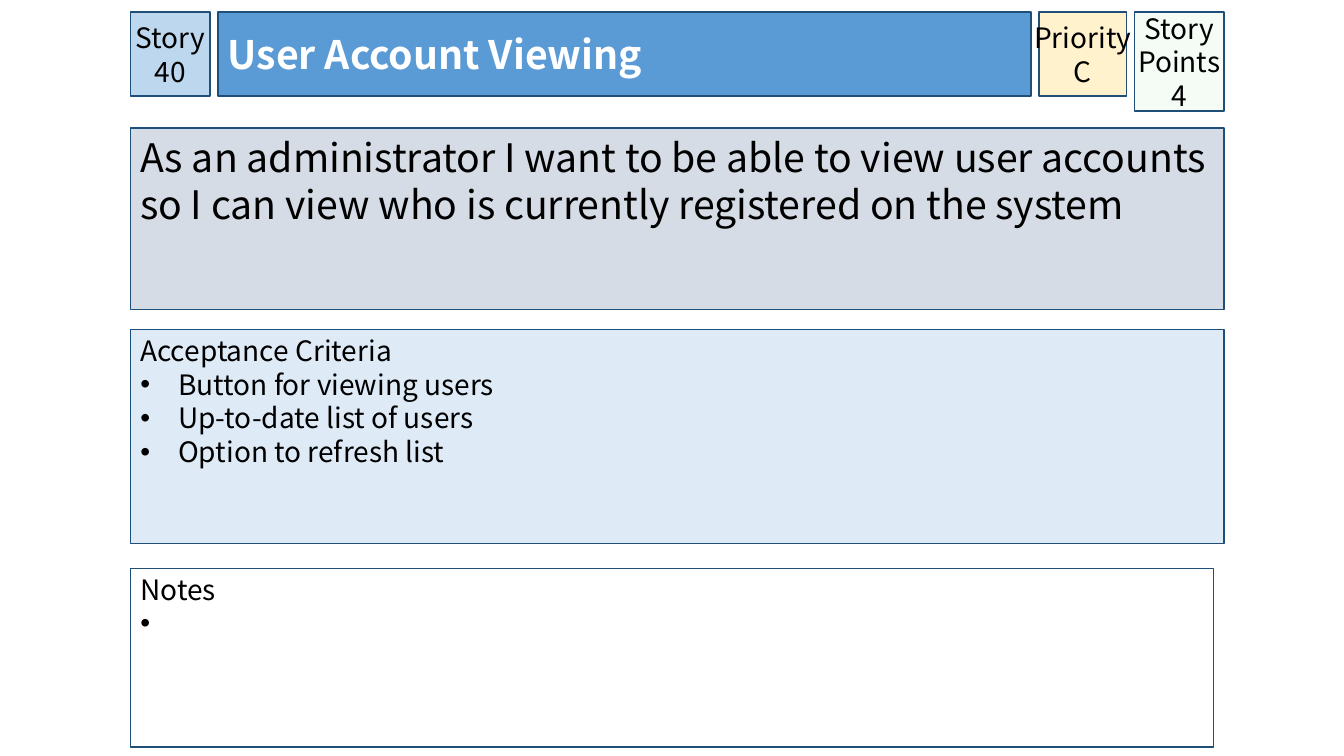
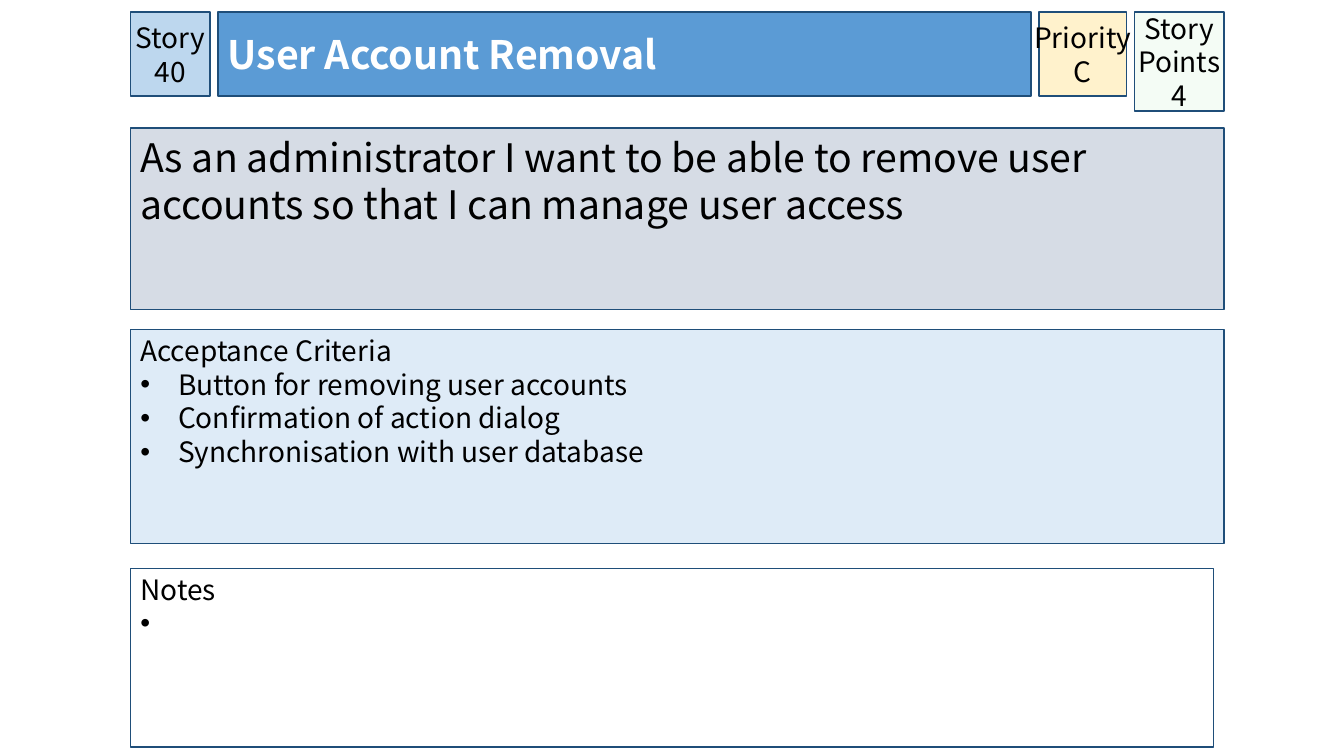
from dataclasses import dataclass

from lxml import etree
from pptx import Presentation
from pptx import util as u
from pptx.dml.color import RGBColor
from pptx.enum import shapes, text
from pptx.oxml import ns


@dataclass(frozen=True)
class Theme:
    font: str = "Noto Sans CJK KR"
    bullet_font: str = "Arial"
    large: float = 28
    normal: float = 20
    ink: str = "000000"
    title_ink: str = "FFFFFF"
    outline: str = "1F4E79"
    story: str = "BDD7EE"
    title: str = "5B9BD5"
    priority: str = "FFF2CC"
    points: str = "CCF0CD"
    statement: str = "D6DCE5"
    criteria: str = "DEEBF7"
    notes: str = "FFFFFF"


LEFT, TOP, GAP = 93, 8.6, 5.6
HEADER_WIDTHS = (57, 581, 62.5, 64)
HEADER_HEIGHT, POINTS_HEIGHT = 60, 70.6
CARD_WIDTH = sum(HEADER_WIDTHS) + GAP * (len(HEADER_WIDTHS) - 1)
BADGE_INSETS = (0, 3.6, 0, 3.6)
TEXT_INSETS = (7.2, 3.6, 7.2, 3.6)
LIST_INSETS = (7.2, 2.9, 7.2, 3.6)


class StoryDeck:
    def __init__(self, theme):
        self.theme = theme
        self.deck = Presentation()
        self.deck.slide_width, self.deck.slide_height = u.Pt(960), u.Pt(540)
        self.slide = None

    def new_slide(self):
        self.slide = self.deck.slides.add_slide(self.deck.slide_layouts[3])

    def style(self, panel, box, fill, insets, anchor, alpha=None):
        panel.left, panel.top, panel.width, panel.height = map(u.Pt, box)
        panel.fill.solid()
        panel.fill.fore_color.rgb = RGBColor.from_string(fill)
        if alpha is not None:
            color = panel.fill._xPr.find(ns.qn("a:solidFill"))[0]
            etree.SubElement(color, ns.qn("a:alpha"), val=str(alpha * 1000))
        panel.line.color.rgb = RGBColor.from_string(self.theme.outline)
        panel.line.width = u.Pt(1)
        frame = panel.text_frame
        frame.auto_size = text.MSO_AUTO_SIZE.NONE
        frame.word_wrap = True
        frame.vertical_anchor = anchor
        (frame.margin_left, frame.margin_top,
         frame.margin_right, frame.margin_bottom) = map(u.Pt, insets)
        return frame

    def add_lines(self, frame, lines, size, color=None, bold=False, align=text.PP_ALIGN.LEFT):
        for number, line in enumerate(lines):
            paragraph = frame.add_paragraph() if number else frame.paragraphs[0]
            paragraph.alignment = align
            paragraph.space_before = paragraph.space_after = u.Pt(0)
            run = paragraph.add_run()
            run.text = line
            run.font.name = self.theme.font
            run.font.size = u.Pt(size)
            run.font.bold = bold
            run.font.color.rgb = RGBColor.from_string(color or self.theme.ink)

    def indent(self, paragraph, width):
        props = paragraph._p.get_or_add_pPr()
        props.set("marL", str(u.Pt(width)))
        props.set("indent", str(-u.Pt(width)))
        if width:
            etree.SubElement(props, ns.qn("a:buFont"), typeface=self.theme.bullet_font)
            etree.SubElement(props, ns.qn("a:buChar"), char="•")
        else:
            etree.SubElement(props, ns.qn("a:buNone"))

    def rectangle(self):
        panel = self.slide.shapes.add_shape(shapes.MSO_SHAPE.RECTANGLE, 0, 0, 0, 0)
        panel.shadow.inherit = False
        return panel

    def badge(self, box, fill, lines, alpha=None, wrap=True):
        frame = self.style(self.rectangle(), box, fill, BADGE_INSETS,
                           text.MSO_ANCHOR.MIDDLE, alpha)
        frame.word_wrap = wrap
        self.add_lines(frame, lines, self.theme.normal, align=text.PP_ALIGN.CENTER)

    def title(self, box, heading):
        frame = self.style(self.slide.shapes.title, box, self.theme.title,
                           TEXT_INSETS, text.MSO_ANCHOR.MIDDLE)
        self.add_lines(frame, [heading], self.theme.large, self.theme.title_ink, bold=True)

    def statement(self, box, sentence):
        frame = self.style(self.rectangle(), box, self.theme.statement,
                           TEXT_INSETS, text.MSO_ANCHOR.TOP)
        self.add_lines(frame, [sentence], self.theme.large)

    def bullet_list(self, slot, box, fill, heading, items, indent):
        frame = self.style(self.slide.placeholders[slot], box, fill,
                           LIST_INSETS, text.MSO_ANCHOR.TOP)
        self.add_lines(frame, [heading, *items], self.theme.normal)
        for number, paragraph in enumerate(frame.paragraphs):
            self.indent(paragraph, indent if number else 0)

    def story_card(self, heading, sentence, criteria):
        self.new_slide()
        header = []
        for column, width in enumerate(HEADER_WIDTHS):
            left = LEFT + sum(HEADER_WIDTHS[:column]) + GAP * column
            header.append((left, TOP, width, HEADER_HEIGHT))
        story, title, priority, points = header
        self.badge(story, self.theme.story, ["Story 40"])
        self.title(title, heading)
        self.badge(priority, self.theme.priority, ["Priority", "C"], wrap=False)
        self.badge((*points[:3], POINTS_HEIGHT), self.theme.points,
                   ["Story Points", "4"], alpha=20)
        self.statement((LEFT, 91.4, CARD_WIDTH, 129.6), sentence)
        self.bullet_list(1, (LEFT, 235.5, CARD_WIDTH, 152.7), self.theme.criteria,
                         "Acceptance Criteria", criteria, 27)
        self.bullet_list(2, (LEFT, 406, 774, 127.5), self.theme.notes, "Notes", [" "], 14.4)


STORIES = (
    ("User Account Viewing",
     "As an administrator I want to be able to view user accounts "
     "so I can view who is currently registered on the system",
     ("Button for viewing users", "Up-to-date list of users", "Option to refresh list")),
    ("User Account Removal",
     "As an administrator I want to be able to remove user accounts "
     "so that I can manage user access",
     ("Button for removing user accounts", "Confirmation of action dialog",
      "Synchronisation with user database")),
)


def main():
    cards = StoryDeck(Theme())
    for story in STORIES:
        cards.story_card(*story)
    cards.deck.save("out.pptx")


if __name__ == "__main__":
    main()
